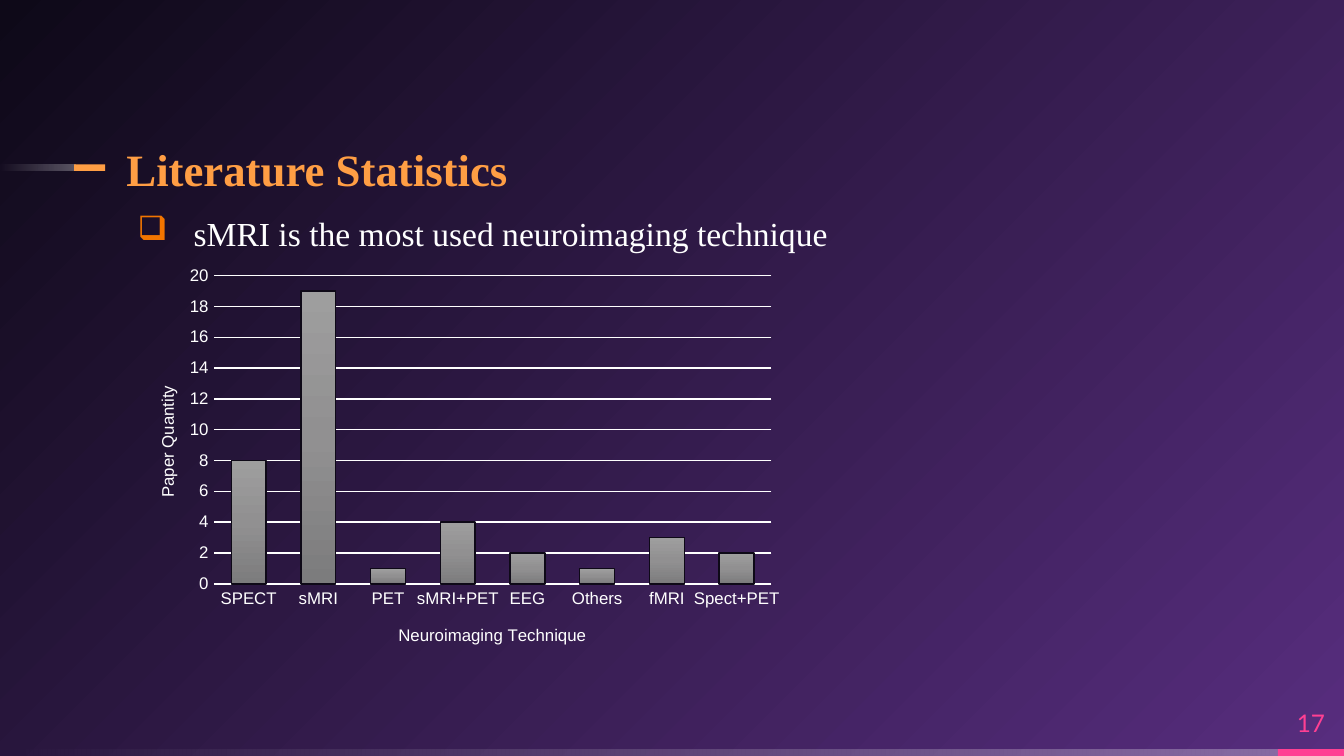
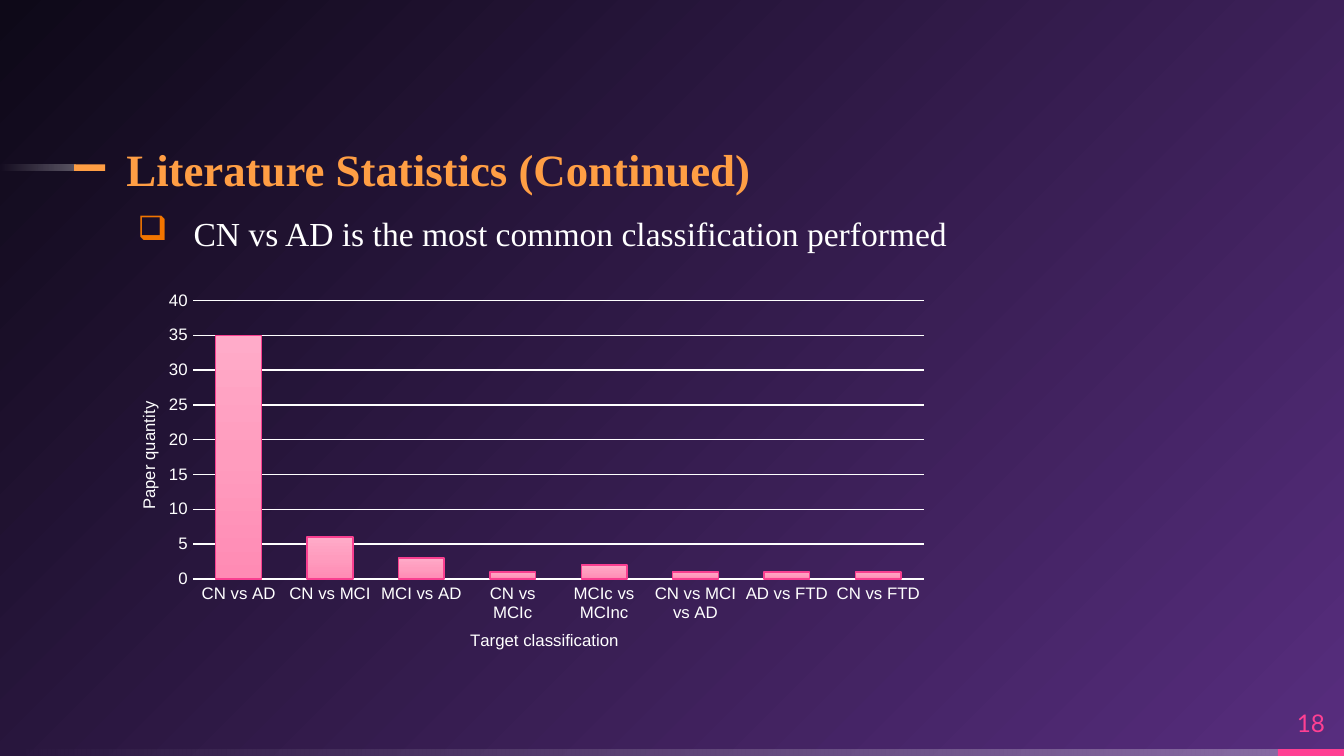
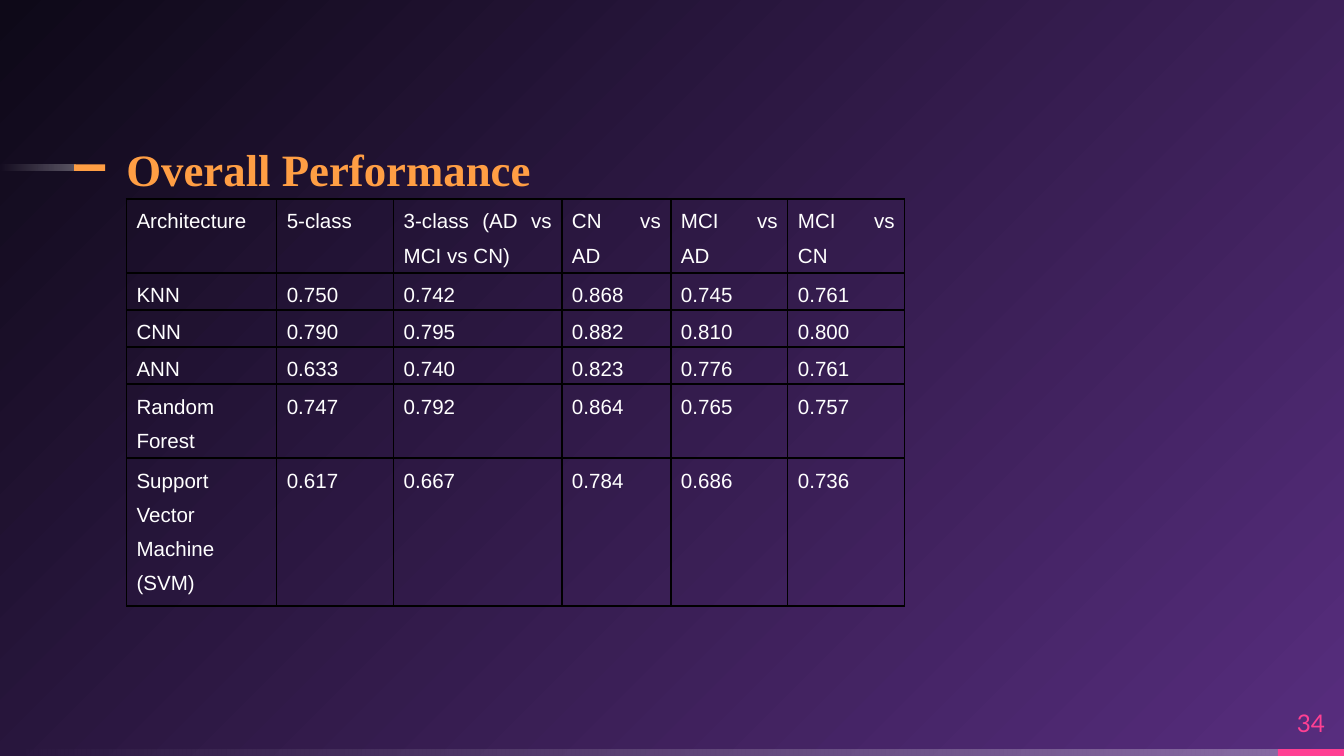
from lxml import etree
from pptx import Presentation
from pptx.chart.data import CategoryChartData
from pptx.dml.color import RGBColor
from pptx.enum.chart import XL_CHART_TYPE, XL_TICK_MARK
from pptx.enum.shapes import MSO_SHAPE
from pptx.enum.text import MSO_ANCHOR, PP_ALIGN
from pptx.oxml.ns import qn
from pptx.util import Cm, Pt

RECT = MSO_SHAPE.RECTANGLE
COLUMN = XL_CHART_TYPE.COLUMN_CLUSTERED
NO_TICK = XL_TICK_MARK.NONE
TOP, MIDDLE, BOTTOM = MSO_ANCHOR.TOP, MSO_ANCHOR.MIDDLE, MSO_ANCHOR.BOTTOM
LEFT, CENTER, JUSTIFY = PP_ALIGN.LEFT, PP_ALIGN.CENTER, PP_ALIGN.JUSTIFY

COLORS = {
    "purple": "572D7E", "night": "0E0918", "white": "FFFFFF",
    "pink": "FF4093", "orange": "FF9E44", "bullet": "F27500",
    "black": "000000", "ink": "0E0917", "rose": "F93F90",
}
GRAYS = ["9E9E9E", "919091", "7C7C7D"]
PINKS = ["FFABC9", "FF9CBE", "FF8BB4"]
SERIF, SANS, FOOT = "Times New Roman", "Arial", "Lato"
EDGE = 2.39

USES = [8, 19, 1, 4, 2, 1, 3, 2]
TOOLS = ["SPECT", "sMRI", "PET", "sMRI+PET", "EEG", "Others", "fMRI", "Spect+PET"]
COUNTS = [35, 6, 3, 1, 2, 1, 1, 1]
TARGETS = ["CN vs AD", "CN vs MCI", "MCI vs AD", "CN vs MCIc",
           "MCIc vs MCInc", "CN vs MCI vs AD", "AD vs FTD", "CN vs FTD"]
SCORES = [
    ["Architecture", "5-class", "3-class (AD vs MCI vs CN)", "CN vs AD", "MCI vs AD", "MCI vs CN"],
    ["KNN", "0.750", "0.742", "0.868", "0.745", "0.761"],
    ["CNN", "0.790", "0.795", "0.882", "0.810", "0.800"],
    ["ANN", "0.633", "0.740", "0.823", "0.776", "0.761"],
    ["Random Forest", "0.747", "0.792", "0.864", "0.765", "0.757"],
    ["Support Vector Machine (SVM)", "0.617", "0.667", "0.784", "0.686", "0.736"],
]
WIDTHS = [2.84, 2.21, 3.18, 2.06, 2.21, 2.21]
HEIGHTS = [1.32, 0.61, 0.61, 0.61, 0.61, 2.01]


def rgb(name):
    return RGBColor.from_string(COLORS[name])


def add(node, tag, **attrs):
    return etree.SubElement(node, qn(tag), {k: str(v) for k, v in attrs.items()})


def tint(node, color):
    return add(add(node, "a:solidFill"), "a:srgbClr", val=color)


def blend(fill, root, stops, angle=None):
    fill.gradient()
    grad = next(root.iter(qn("a:gradFill")))
    for child in list(grad):
        grad.remove(child)
    steps = add(grad, "a:gsLst")
    for i, (color, alpha) in enumerate(stops):
        stop = add(steps, "a:gs", pos=100000 * i // (len(stops) - 1))
        shade = add(stop, "a:srgbClr", val=color)
        if alpha < 100:
            add(shade, "a:alpha", val=alpha * 1000)
    if angle is None:
        way = add(grad, "a:path")
        way.set("path", "circle")
        add(way, "a:fillToRect", l=100000, t=100000)
    else:
        add(grad, "a:lin", ang=angle * 60000, scaled=0)


def add_bar(shapes, left, top, width, height, color=None):
    bar = shapes.add_shape(RECT, Cm(left), Cm(top), Cm(width), Cm(height))
    bar.shadow.inherit = False
    bar.line.fill.background()
    if color:
        bar.fill.solid()
        bar.fill.fore_color.rgb = rgb(color)
    else:
        white = COLORS["white"]
        blend(bar.fill, bar.element, [(white, 30), (white, 0)], 180)


def add_run(para, text, size, font, color, bold=False):
    run = para.add_run()
    run.text = text
    run.font.size = Pt(size)
    run.font.name = font
    run.font.bold = bold
    run.font.color.rgb = rgb(color)


def add_box(slide, box, anchor=TOP, align=LEFT, space=1.0):
    frame = slide.shapes.add_textbox(*map(Cm, box)).text_frame
    frame.word_wrap = True
    frame.vertical_anchor = anchor
    frame.margin_left = frame.margin_right = 0
    frame.margin_top = frame.margin_bottom = 0
    para = frame.paragraphs[0]
    para.alignment = align
    para.line_spacing = space
    return para


def add_page(deck, title, number, width=15.27):
    slide = deck.slides.add_slide(deck.slide_layouts[6])
    stops = [(COLORS["purple"], 100), (COLORS["night"], 100)]
    blend(slide.background.fill, slide.element, stops)
    add_bar(slide.shapes, 0, 14.16, 24.24, 0.13)
    add_bar(slide.shapes, 24.15, 14.16, 1.25, 0.13, "pink")
    dash = slide.shapes.add_group_shape().shapes
    add_bar(dash, 0, 3.11, 1.42, 0.12)
    add_bar(dash, 1.4, 3.11, 0.59, 0.12, "orange")
    head = add_box(slide, (EDGE, 2.62, width, 1.09), BOTTOM, space=0.9)
    add_run(head, title, 24, SERIF, "orange", True)
    foot = add_box(slide, (24.15, 13.18, 1.25, 0.97), MIDDLE, CENTER)
    add_run(foot, number, 13, FOOT, "pink")
    return slide


def add_point(slide, text):
    para = add_box(slide, (EDGE, 3.91, 19.89, 8.99), space=1.15)
    props = para._p.get_or_add_pPr()
    props.set("marL", str(Cm(1.27)))
    props.set("indent", str(-Cm(1.06)))
    add(add(props, "a:buClr"), "a:srgbClr", val=COLORS["bullet"])
    add(props, "a:buChar", char="❑")
    add_run(para, text, 18, SERIF, "white")


def set_place(node, x, y, size=None):
    layout = node.find(qn("c:layout"))
    if layout is None:
        layout = etree.Element(qn("c:layout"))
        node.insert(0, layout)
    spot = add(layout, "c:manualLayout")
    if size:
        add(spot, "c:layoutTarget", val="inner")
    add(spot, "c:xMode", val="edge")
    add(spot, "c:yMode", val="edge")
    for tag, part in zip("xywh", (x, y) + (size or ())):
        add(spot, f"c:{tag}", val=part)


def set_axis(axis, text, spot, turn):
    axis.major_tick_mark = axis.minor_tick_mark = NO_TICK
    font = axis.tick_labels.font
    font.size, font.name = Pt(9), SANS
    font.color.rgb = rgb("white")
    body = axis._element.find(qn("c:txPr")).find(qn("a:bodyPr"))
    body.set("rot", "-60000000")
    body.set("vert", "horz")
    title = axis.axis_title
    frame = title.text_frame
    add_run(frame.paragraphs[0], text, 9, SANS, "white")
    body = frame._txBody.find(qn("a:bodyPr"))
    body.set("rot", str(turn * 60000))
    body.set("vert", "horz")
    set_place(title._element, *spot)


def set_line(line, color):
    line.color.rgb = rgb(color)
    line.width = Pt(0.75)


def add_columns(slide, box, names, values, scale, labels, spots, plot, shades, edge):
    data = CategoryChartData()
    data.categories = names
    data.add_series("Series 1", values)
    chart = slide.shapes.add_chart(COLUMN, *map(Cm, box), data).chart
    chart.has_legend = chart.has_title = False
    chart.font.size, chart.font.name = Pt(10), SANS
    chart.font.color.rgb = rgb("white")
    cats, vals = chart.category_axis, chart.value_axis
    set_axis(cats, labels[0], spots[0], 0)
    set_axis(vals, labels[1], spots[1], -90)
    set_line(cats.format.line, "white")
    vals.format.line.fill.background()
    vals.has_major_gridlines = True
    set_line(vals.major_gridlines.format.line, "white")
    vals.minimum_scale = 0
    vals.maximum_scale, vals.major_unit = scale
    bars = chart.plots[0]
    bars.gap_width, bars.overlap = 100, -24
    bars.vary_by_categories = False
    series = bars.series[0]
    blend(series.format.fill, series._element, [(c, 100) for c in shades], 90)
    set_line(series.format.line, edge)
    set_place(next(chart._chartSpace.iter(qn("c:plotArea"))), *plot)


def set_cell(cell, text):
    cell.margin_left = cell.margin_right = Cm(0.19)
    cell.margin_top = cell.margin_bottom = 0
    props = cell._tc.get_or_add_tcPr()
    for side in "LRTB":
        tint(add(props, f"a:ln{side}", w=Pt(0.75)), COLORS["black"])
    cell.fill.background()
    para = cell.text_frame.paragraphs[0]
    para.alignment = JUSTIFY
    para.line_spacing = 1.5
    para.space_after = Pt(8)
    add_run(para, text, 11, SANS, "white")


def add_grid(slide, rows):
    table = slide.shapes.add_table(
        len(rows), len(WIDTHS), Cm(EDGE), Cm(3.76),
        Cm(sum(WIDTHS)), Cm(sum(HEIGHTS))).table
    table.first_row = table.horz_banding = False
    for col, width in zip(table.columns, WIDTHS):
        col.width = Cm(width)
    for row, height, texts in zip(table.rows, HEIGHTS, rows):
        row.height = Cm(height)
        for cell, text in zip(row.cells, texts):
            set_cell(cell, text)


def main():
    deck = Presentation()
    deck.slide_width, deck.slide_height = Cm(25.4), Cm(14.29)

    slide = add_page(deck, "Literature Statistics", "17")
    add_point(slide, "sMRI is the most used neuroimaging technique")
    add_columns(
        slide, (EDGE, 4.9, 12.7, 7.77), TOOLS, USES, (20, 2),
        ("Neuroimaging Technique", "Paper Quantity"),
        ((0.4, 0.88), (0.04, 0.3)), (0.13, 0.04, (0.83, 0.75)), GRAYS, "ink")

    slide = add_page(deck, "Literature Statistics (Continued)", "18")
    add_point(slide, "CN vs AD is the most common classification performed")
    add_columns(
        slide, (EDGE, 4.78, 15.7, 7.62), TARGETS, COUNTS, (40, 5),
        ("Target classification", "Paper quantity"),
        ((0.41, 0.94), (0.01, 0.37)), (0.08, 0.12, (0.88, 0.7)), PINKS, "rose")

    slide = add_page(deck, "Overall Performance", "34", 14.73)
    add_grid(slide, SCORES)

    deck.save("out.pptx")


if __name__ == "__main__":
    main()
